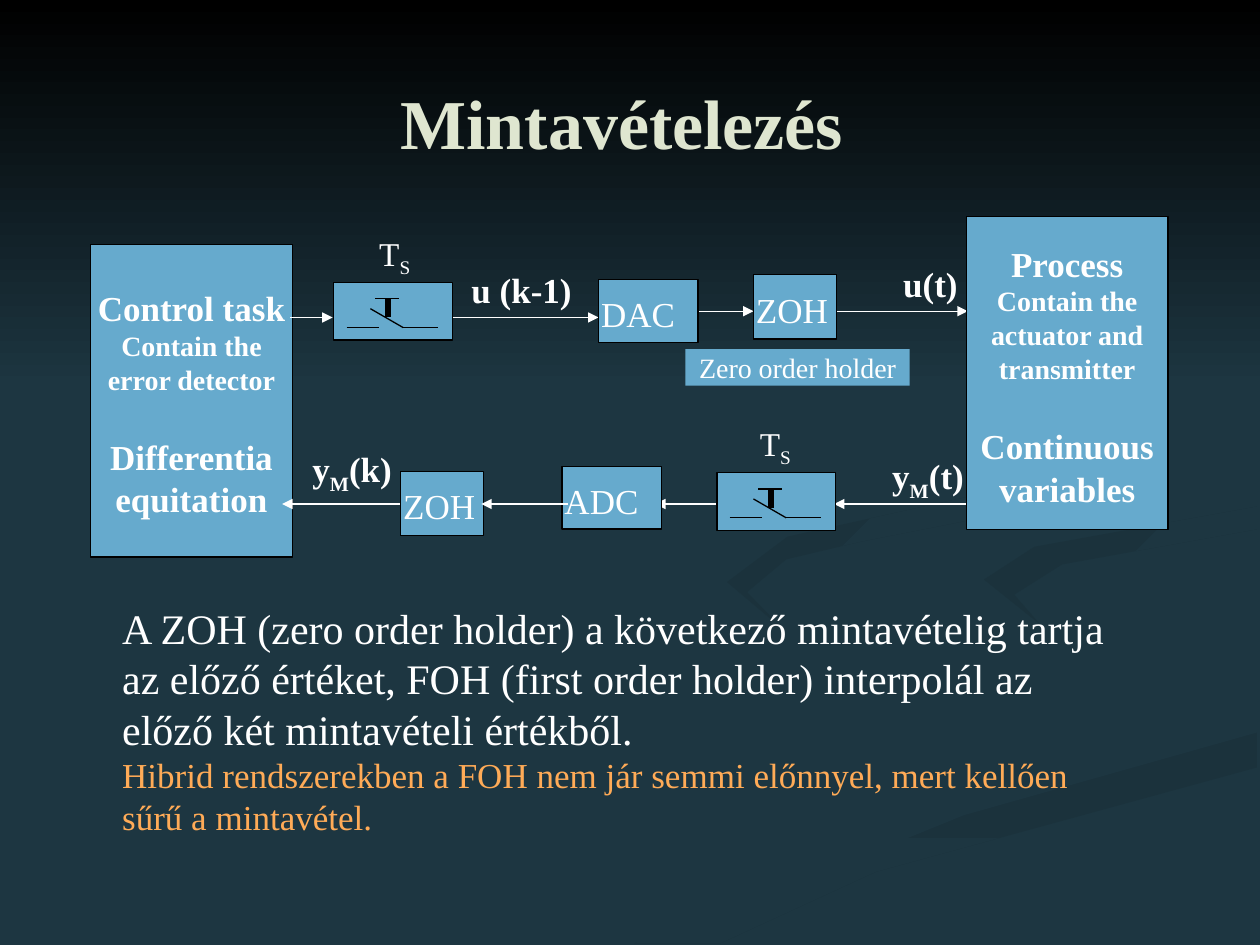
import pptx
import pptx.dml.color
import pptx.enum.shapes
import pptx.enum.text
import pptx.oxml.ns
import pptx.util
from lxml import etree
from pptx.util import Inches

RGB = pptx.dml.color.RGBColor.from_string
ALIGN = pptx.enum.text.PP_ALIGN
ANCHOR = pptx.enum.text.MSO_ANCHOR
COLORS = {
    "night": "1D3641", "dusk": "1C343E", "shade": "1B323C", "black": "000000",
    "block": "66AACD", "white": "FFFFFF", "title": "DFE6D0", "note": "FFAB57",
}

deck = pptx.Presentation()
deck.slide_width, deck.slide_height = Inches(10), Inches(7.5)
page = deck.slides.add_slide(deck.slide_layouts[6])
page.background.fill.solid()
page.background.fill.fore_color.rgb = RGB(COLORS["night"])


def write_text(box, lines, align, anchor=ANCHOR.TOP, margins=(0, 0, 0, 0), wrap=True):
    frame = box.text_frame
    left, top, right, bottom = map(Inches, margins)
    layout = {"margin_left": left, "margin_top": top, "margin_right": right,
              "margin_bottom": bottom, "word_wrap": wrap, "vertical_anchor": anchor}
    for name, value in layout.items():
        setattr(frame, name, value)
    for index, (text, size, bold, color) in enumerate(lines):
        para = frame.add_paragraph() if index else frame.paragraphs[0]
        para.alignment = align
        if index == 2:
            para.space_before = pptx.util.Pt(23)
        for position, piece in enumerate(text.split("|")):
            span = para.add_run()
            span.text = piece
            style = {"name": "Times New Roman", "size": pptx.util.Pt(size), "bold": bold}
            for name, value in style.items():
                setattr(span.font, name, value)
            span.font.color.rgb = RGB(COLORS[color])
            if position % 2:
                span.font._element.set("baseline", "-25000")


def add_line(x1, y1, x2, y2, color="white", width=0.75, arrow=True):
    line = page.shapes.add_connector(
        pptx.enum.shapes.MSO_CONNECTOR.STRAIGHT, Inches(x1), Inches(y1), Inches(x2), Inches(y2))
    line.line.color.rgb = RGB(COLORS[color])
    line.line.width = pptx.util.Pt(width)
    if arrow:
        head = etree.SubElement(line.line._get_or_add_ln(), pptx.oxml.ns.qn("a:tailEnd"))
        head.set("type", "triangle")
    etree.SubElement(line._element.spPr, pptx.oxml.ns.qn("a:effectLst"))


swirls = [
    ("night", "dusk", 0, [
        (7.81, 5.53), (6.42, 5.07), (5.75, 4.59), (5.81, 4.84), (7.62, 5.47), (7.86, 5.66),
        (7.49, 5.94), (4.99, 6.61), (3, 7.49), (3.61, 7.49), (4.99, 6.87), (7.56, 6.14),
        (8, 5.81)]),
    ("night", "dusk", 45, [
        (9.43, 5.7), (9.05, 5.4), (7.58, 4.98), (7.24, 4.64), (7.46, 5), (8.68, 5.44),
        (9.18, 5.81), (8.94, 6.05), (9.32, 5.89)]),
    ("shade", "night", 90, [
        (5.03, 7.49), (5.71, 7.49), (6.95, 6.92), (9.98, 6.09), (9.98, 5.81), (7.64, 6.47),
        (5.69, 7.19)]),
    ("night", "night", 0, [
        (7.25, 4.64), (7.59, 4.98), (9.05, 5.4), (9.43, 5.7), (8.92, 6.05), (6.19, 6.84),
        (4.77, 7.49), (5.19, 7.47), (7.65, 6.47), (9.99, 5.81), (9.99, 5.38), (8.32, 4.98),
        (7.81, 4.63), (8.5, 4.27), (9.99, 4.02), (9.99, 3.87), (7.88, 4.22)]),
    ("shade", "night", 45, [
        (7.81, 4.6), (8.26, 4.96), (8.05, 4.72), (8.43, 4.48), (9.98, 4.2), (9.98, 4.02),
        (8.21, 4.34)]),
    ("shade", "night", 45, [
        (6.83, 4.3), (8.25, 4.02), (8.76, 3.78), (8.94, 3.44), (8.64, 2.91), (7.62, 2.33),
        (8.62, 2.92), (8.89, 3.35), (8.42, 3.78), (6.25, 4.26), (5.77, 4.62), (6.22, 5),
        (5.93, 4.7), (6.24, 4.44)]),
    ("black", "night", 90, [(0, 0), (0, 3.08), (10, 3.08), (10, 0)]),
]
for start, end, angle, points in swirls:
    corners = [(Inches(x), Inches(y)) for x, y in points]
    builder = page.shapes.build_freeform(*corners[0])
    builder.add_line_segments(corners[1:], close=True)
    swirl = builder.convert_to_shape()
    swirl.shadow.inherit = False
    swirl.line.fill.background()
    swirl.fill.gradient()
    swirl.fill.gradient_angle = (360 - angle) % 360
    for stop, position, color in zip(swirl.fill.gradient_stops, (0, 1), (start, end)):
        stop.position = position
        stop.color.rgb = RGB(COLORS[color])

title = page.shapes.add_textbox(Inches(0.89), Inches(0.63), Inches(8.09), Inches(0.67))
write_text(title, [("Mintavételezés", 40, True, "title")], ALIGN.CENTER, ANCHOR.MIDDLE)

holder = (1.78, 0.29)
station = (1.6, 2.48)
hold = (0.66, 0.51)
converter = (0.79, 0.5)
sampler = (0.94, 0.46)
samplers = [(2.65, 2.24), (5.69, 3.75)]
blocks = [
    (5.44, 2.77, holder, ["Zero order holder"]),
    (0.72, 1.94, station, ["Control task", "Contain the error detector", "Differentia equitation"]),
    (5.98, 2.18, hold, ["ZOH"]),
    (4.46, 3.7, converter, ["ADC"]),
    (4.75, 2.22, converter, ["DAC"]),
    (7.67, 1.72, station,
     ["Process", "Contain the actuator and transmitter", "Continuous variables"]),
    (3.18, 3.74, hold, ["ZOH"]),
] + [(left, top, sampler, []) for left, top in samplers]
arrows = [
    (5.69, 5.2, 4), (3.23, 2.24, 4), (3.59, 4.75, 2.52), (6.62, 7.68, 2.47),
    (5.34, 5.98, 2.47), (7.71, 6.62, 4), (2.3, 2.64, 2.52),
]
for index, (left, top, size, texts) in enumerate(blocks):
    if index == 2:
        for start, end, level in arrows:
            add_line(start, level, end, level)
    block = page.shapes.add_shape(pptx.enum.shapes.MSO_SHAPE.RECTANGLE,
                                  Inches(left), Inches(top), *map(Inches, size))
    block.shadow.inherit = False
    block.fill.solid()
    block.fill.fore_color.rgb = RGB(COLORS["block"])
    plain = size == holder
    if plain:
        block.line.fill.background()
    else:
        block.line.color.rgb = RGB(COLORS["black"])
        block.line.width = pptx.util.Pt(0.75)
    lines = [(text, 16 if plain or row == 1 else 20, size == station, "white")
             for row, text in enumerate(texts)]
    write_text(block, lines, ALIGN.CENTER if size in (holder, station) else ALIGN.LEFT,
               ANCHOR.MIDDLE, (0, 0, 0, 0) if plain else (0.02, 0.08, 0.02, 0.04))
add_line(4.51, 4, 3.82, 4)

switch = [(0.1, 0.36, 0.36, 0.36, 0.75), (0.55, 0.36, 0.83, 0.36, 0.75),
          (0.55, 0.36, 0.29, 0.21, 0.75), (0.43, 0.13, 0.43, 0.28, 3),
          (0.33, 0.13, 0.52, 0.13, 0.75)]
for left, top in samplers:
    for x1, y1, x2, y2, width in switch:
        add_line(left + x1, top + y1, left + x2, top + y2, "black", width, False)

labels = [
    (3.01, 1.85, 0.25, "T|S", 19, ALIGN.LEFT),
    (6.03, 3.36, 0.25, "T|S", 19, ALIGN.LEFT),
    (7.02, 3.61, 0.63, "y|M|(t)", 20, ALIGN.RIGHT),
    (7.02, 2.08, 0.58, "u(t)", 20, ALIGN.RIGHT),
    (3.67, 2.13, 0.94, "u (k-1)", 20, ALIGN.CENTER),
    (2.39, 3.55, 0.72, "y|M|(k)", 20, ALIGN.RIGHT),
]
for left, top, width, text, size, align in labels:
    label = page.shapes.add_textbox(Inches(left), Inches(top), Inches(width), Inches(0.32))
    bold = size == 20
    write_text(label, [(text, size, bold, "white")], align, wrap=bold)

summary = page.shapes.add_textbox(Inches(0.95), Inches(4.77), Inches(7.94), Inches(1.89))
write_text(summary, [
    ("A ZOH (zero order holder) a következő mintavételig tartja az előző értéket, "
     "FOH (first order holder) interpolál az előző két mintavételi értékből.", 24, False, "white"),
    ("Hibrid rendszerekben a FOH nem jár semmi előnnyel, mert kellően sűrű a mintavétel.",
     20, False, "note"),
], ALIGN.LEFT, margins=(0.02, 0.01, 0.02, 0.01))

deck.save("out.pptx")
